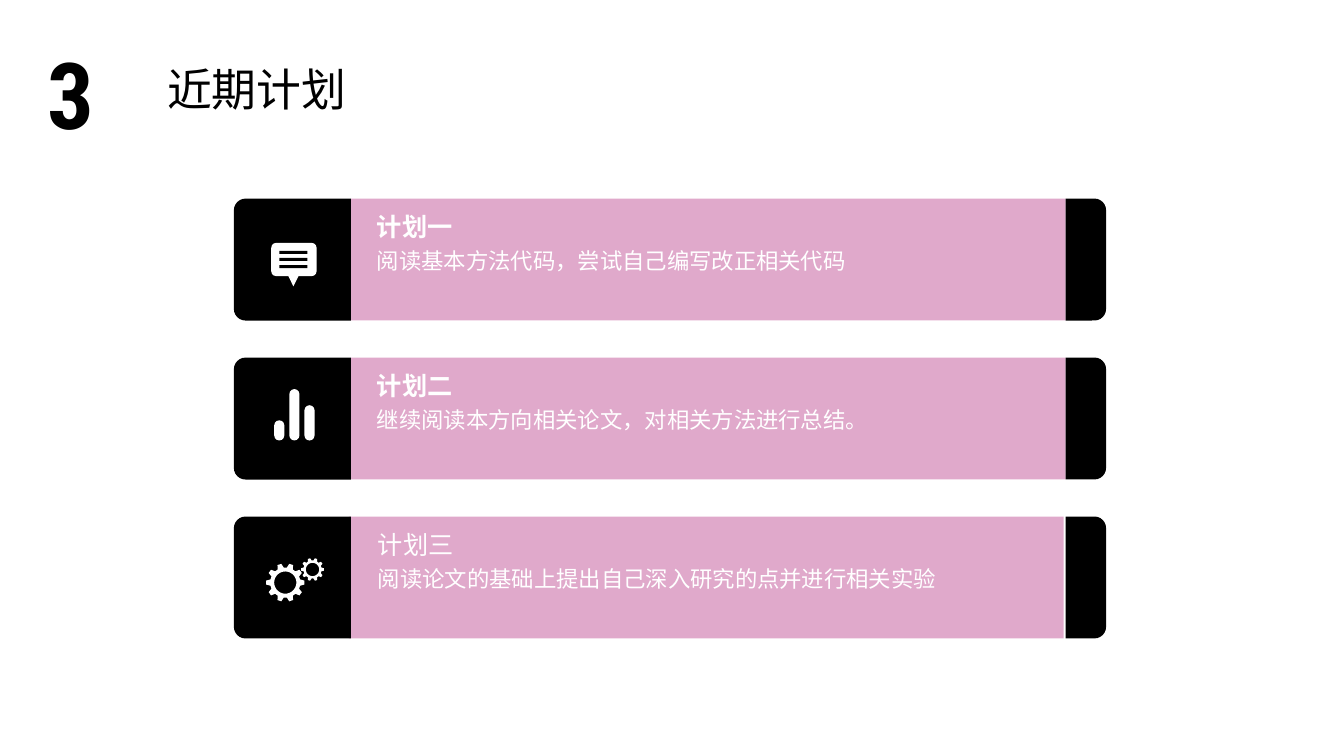
"""Build the near-term plan slide with three icon cards."""
from math import cos, radians, sin

from lxml.etree import SubElement
from pptx import Presentation
from pptx.dml.color import RGBColor
from pptx.enum.shapes import MSO_SHAPE
from pptx.enum.text import MSO_AUTO_SIZE, PP_ALIGN
from pptx.oxml.ns import qn
from pptx.util import Inches, Pt

COLORS = {"black": "000000", "white": "FFFFFF", "pink": "E0A9CB"}
CHINESE_FONT = "Noto Sans CJK SC"

presentation = Presentation()
presentation.slide_width = Inches(13.33)
presentation.slide_height = Inches(7.5)
slide = presentation.slides.add_slide(presentation.slide_layouts[6])


def add_block(kind, box, color, rounding=None, rotation=0):
    shape = slide.shapes.add_shape(kind, *[Inches(length) for length in box])
    shape.shadow.inherit = False
    shape.fill.solid()
    shape.fill.fore_color.rgb = RGBColor.from_string(COLORS[color])
    shape.line.fill.background()
    shape.rotation = rotation
    if rounding is not None:
        shape.adjustments[0] = rounding


def add_text(text, box, size, color, font=CHINESE_FONT, bold=False, wrap=True, align=PP_ALIGN.LEFT):
    shape = slide.shapes.add_textbox(*[Inches(length) for length in box])
    text_frame = shape.text_frame
    text_frame.word_wrap = wrap
    text_frame.auto_size = MSO_AUTO_SIZE.SHAPE_TO_FIT_TEXT
    text_frame.text = text
    paragraph = text_frame.paragraphs[0]
    paragraph.alignment = align
    run = paragraph.runs[0]
    run.font.name = font
    run.font.size = Pt(size)
    run.font.bold = bold
    run.font.color.rgb = RGBColor.from_string(COLORS[color])
    SubElement(run.font._element, qn("a:ea")).set("typeface", font)


plans = [
    ("计划一", "阅读基本方法代码，尝试自己编写改正相关代码", True, 3.48, 3.64),
    ("计划二", "继续阅读本方向相关论文，对相关方法进行总结。", True, 3.48, 3.64),
    ("计划三", "阅读论文的基础上提出自己深入研究的点并进行相关实验", False, 3.46, 3.65),
]
card_height = 1.21
corner = 0.115
for index, (heading, detail, bold, panel_left, text_left) in enumerate(plans):
    top = 1.97 + index * 1.577
    add_block(MSO_SHAPE.RECTANGLE, (panel_left, top, 7.09, card_height), "pink")
    for cap_left, cap_width, rotation in [(2.32, 1.16, 270), (10.57, 0.4, 90)]:
        unrotated_box = (
            cap_left + (cap_width - card_height) / 2,
            top + (card_height - cap_width) / 2,
            card_height,
            cap_width,
        )
        add_block(MSO_SHAPE.ROUND_2_SAME_RECTANGLE, unrotated_box, "black", corner / cap_width, rotation)
    add_text(detail, (text_left, top + 0.43, 6.93, 0.37), 16, "white")
    add_text(heading, (text_left, top + 0.08, 0.96, 0.4), 18, "white", bold=bold, wrap=False)

add_block(MSO_SHAPE.FLOWCHART_MERGE, (2.85, 2.72, 0.12, 0.12), "white")
add_block(MSO_SHAPE.ROUNDED_RECTANGLE, (2.69, 2.41, 0.45, 0.33), "white", 0.15)
for line in range(3):
    add_block(MSO_SHAPE.RECTANGLE, (2.77, 2.49 + line * 0.07, 0.28, 0.03), "black")

for bar, bar_height in enumerate([0.2, 0.51, 0.35]):
    bar_box = (2.72 + bar * 0.15, 4.37 - bar_height, 0.1, bar_height)
    add_block(MSO_SHAPE.ROUNDED_RECTANGLE, bar_box, "white", 0.5)

tooth_profile = [(-12, 0.15), (-6, 0.19), (6, 0.19), (12, 0.15)]
for center_x, center_y, scale in [(2.83, 5.78, 1), (3.1, 5.65, 0.6)]:
    rim = [(tooth * 36 + turn, radius) for tooth in range(10) for turn, radius in tooth_profile]
    hole = [(-angle, 0.11) for angle in range(0, 360, 10)]
    rim_points, hole_points = [
        [
            (
                Inches(center_x + scale * radius * cos(radians(angle))),
                Inches(center_y + scale * radius * sin(radians(angle))),
            )
            for angle, radius in outline
        ]
        for outline in (rim, hole)
    ]
    builder = slide.shapes.build_freeform(*rim_points[0])
    builder.add_line_segments(rim_points[1:])
    builder.move_to(*hole_points[0])
    builder.add_line_segments(hole_points[1:])
    gear = builder.convert_to_shape()
    gear.shadow.inherit = False
    gear.fill.solid()
    gear.fill.fore_color.rgb = RGBColor.from_string(COLORS["white"])
    gear.line.fill.background()

add_text("近期计划", (1.56, 0.56, 2.94, 0.64), 32, "black", align=PP_ALIGN.JUSTIFY)
add_text("3", (0.37, 0.32, 0.91, 1.21), 66, "black", "Roboto Condensed", True, align=PP_ALIGN.JUSTIFY)

presentation.save("out.pptx")
